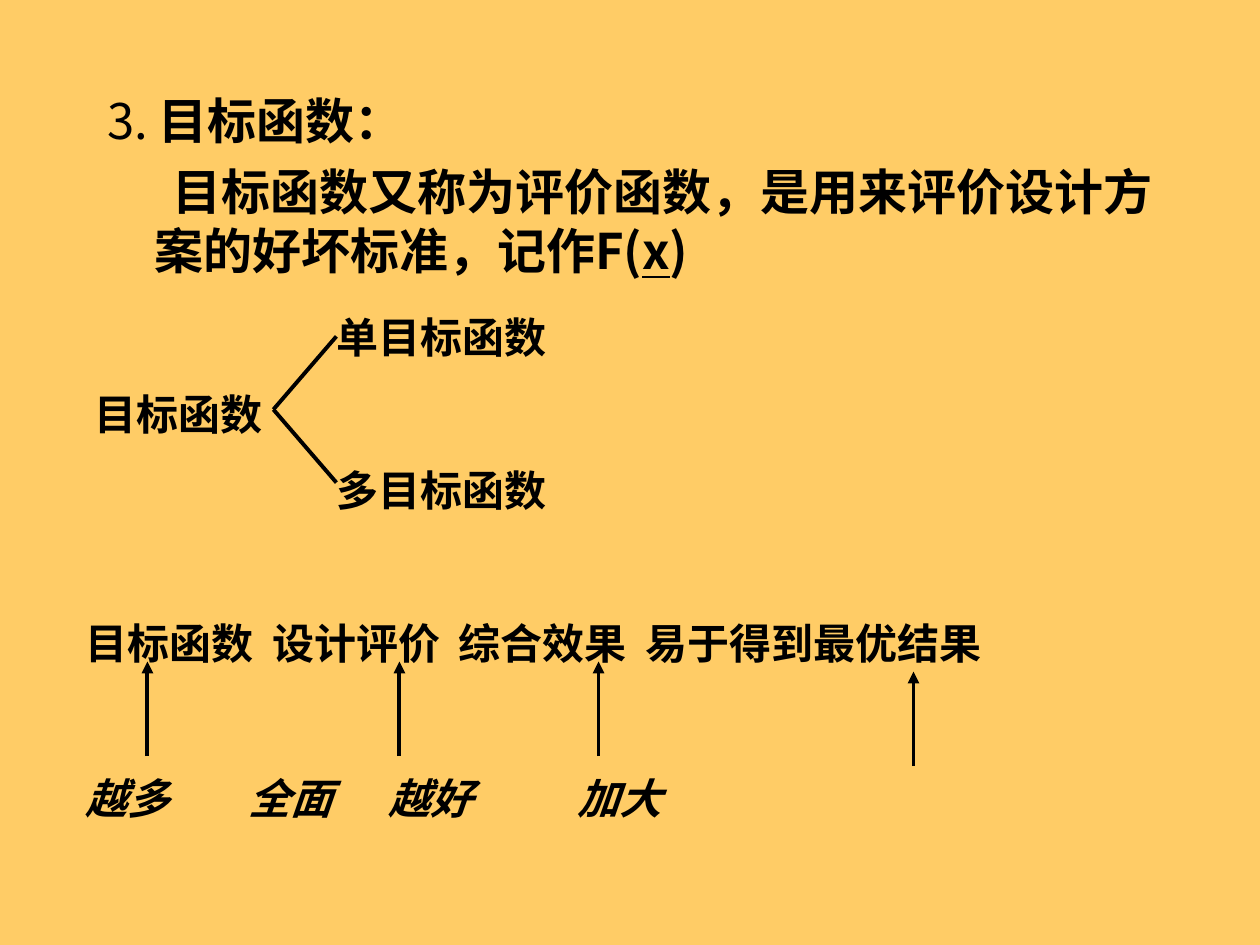
from pptx import Presentation
from pptx.dml.color import RGBColor
from pptx.enum.shapes import MSO_CONNECTOR as Connector
from pptx.enum.text import MSO_ANCHOR as Anchor, PP_ALIGN as Align
from pptx.oxml.ns import qn
from pptx.util import Inches, Pt
from lxml import etree

COLORS = {"paper": "FFCC66", "ink": "000000"}
FONT = "Noto Sans CJK SC"

PARAGRAPHS = [
    {"spans": [("3. ", {"bold": False}), ("目标函数：", {})],
     "indent": -0.38, "format": {"alignment": Align.LEFT, "space_before": Pt(0)}},
    {"spans": [("目标函数又称为评价函数，是用来评价设计方案的好坏标准，记作F(", {}),
               ("x", {"underline": True}), (")", {})],
     "indent": 0.14, "format": {"alignment": Align.JUSTIFY, "space_before": Pt(7)}},
]
BRANCHES = [("单目标函数", 2.67), ("多目标函数", 3.89)]
CHAIN = ["目标函数", "设计评价", "综合效果", "易于得到最优结果"]
EFFECTS = [("越多", 0.68), ("全面", 1.97), ("越好", 3.08), ("加大", 4.58)]
ARROWS = [(1.17, 5.25), (3.17, 5.25), (4.75, 5.25), (7.25, 5.33)]
FORK = (2.17, 3.25)
FORK_WIDTH, FORK_RISE, ARROW_LENGTH = 0.5, 0.58, 0.75
CHAIN_LEFT, CHAIN_STEP = 0.68, 1.48
LABEL_HEIGHT = 0.5


def add_span(para, text, size, **styles):
    span = para.add_run()
    span.text = text
    for name, value in {"name": FONT, "size": Pt(size), "bold": True, **styles}.items():
        setattr(span.font, name, value)
    span.font.color.rgb = RGBColor.from_string(COLORS["ink"])
    latin = span.font._element.find(qn("a:latin"))
    east = etree.Element(qn("a:ea"), typeface=FONT)
    latin.addnext(east)


def add_label(page, text, left, middle, **styles):
    width = len(text) * 24 / 72 + 0.1
    box = page.shapes.add_textbox(Inches(left), Inches(middle - LABEL_HEIGHT / 2),
                                  Inches(width), Inches(LABEL_HEIGHT))
    settings = {"margin_left": 0, "margin_right": 0, "margin_top": 0, "margin_bottom": 0,
                "vertical_anchor": Anchor.MIDDLE, "word_wrap": False}
    for name, value in settings.items():
        setattr(box.text_frame, name, value)
    add_span(box.text_frame.paragraphs[0], text, 24, **styles)


def add_line(page, start, end, arrow=False):
    line = page.shapes.add_connector(Connector.STRAIGHT, *map(Inches, start + end))
    line.line.color.rgb = RGBColor.from_string(COLORS["ink"])
    line.line.width = Pt(2.25)
    if arrow:
        etree.SubElement(line.line._get_or_add_ln(), qn("a:tailEnd"), type="triangle")
    etree.SubElement(line._element.spPr, qn("a:effectLst"))


def fill_body(body):
    for name, value in zip(("left", "top", "width", "height"), (0.75, 0.67, 8.5, 1.75)):
        setattr(body, name, Inches(value))
    frame = body.text_frame
    frame.word_wrap = True
    frame.vertical_anchor = Anchor.TOP
    for index, item in enumerate(PARAGRAPHS):
        para = frame.add_paragraph() if index else frame.paragraphs[0]
        for name, value in item["format"].items():
            setattr(para, name, value)
        props = para._p.get_or_add_pPr()
        props.set("marL", str(Inches(0.38)))
        props.set("indent", str(Inches(item["indent"])))
        etree.SubElement(props, qn("a:buNone"))
        for text, styles in item["spans"]:
            add_span(para, text, 28, **styles)


def main():
    deck = Presentation()
    deck.slide_width, deck.slide_height = Inches(10), Inches(7.5)
    page = deck.slides.add_slide(deck.slide_layouts[1])
    page.background.fill.solid()
    page.background.fill.fore_color.rgb = RGBColor.from_string(COLORS["paper"])
    title = page.shapes.title._element
    title.getparent().remove(title)
    fill_body(page.placeholders[1])

    add_label(page, "目标函数", 0.75, 3.28)
    for text, middle in BRANCHES:
        add_label(page, text, FORK[0] + FORK_WIDTH, middle)
    for column, text in enumerate(CHAIN):
        add_label(page, text, CHAIN_LEFT + column * CHAIN_STEP, 5.1)
    for text, left in EFFECTS:
        add_label(page, text, left, 6.33, italic=True)

    for rise in (-FORK_RISE, FORK_RISE):
        add_line(page, FORK, (FORK[0] + FORK_WIDTH, FORK[1] + rise))
    for x, top in ARROWS:
        add_line(page, (x, top + ARROW_LENGTH), (x, top), arrow=True)
    deck.save("out.pptx")


if __name__ == "__main__":
    main()
